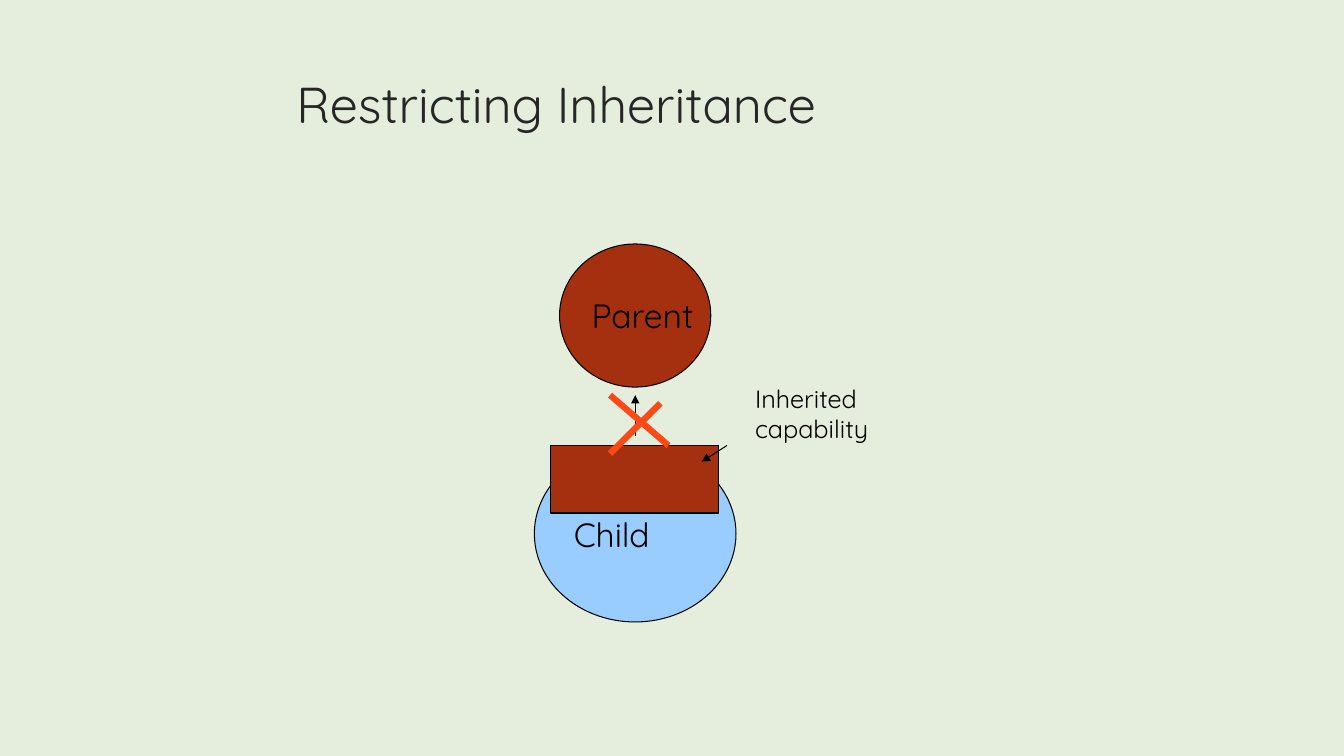
"""Build the slide on restricting inheritance between a parent and a child."""
from dataclasses import dataclass

from lxml.etree import SubElement
from pptx import Presentation
from pptx.dml.color import RGBColor
from pptx.enum.shapes import MSO_CONNECTOR as Connector, MSO_SHAPE as Preset
from pptx.enum.text import MSO_ANCHOR as Anchor, PP_ALIGN as Align
from pptx.oxml.ns import qn
from pptx.slide import Slide
from pptx.text.text import TextFrame
from pptx.util import Inches, Pt


@dataclass(frozen=True)
class Theme:
    font: str = "Quicksand"
    background: str = "E5EEDC"
    heading: str = "262626"
    ink: str = "000000"
    parent: str = "A53010"
    child: str = "99CCFF"
    cross: str = "FB4A18"
    title_size: float = 36
    node_size: float = 24
    label_size: float = 18
    thin: float = 0.75
    thick: float = 4.5


THEME = Theme()


@dataclass(frozen=True)
class Box:
    left: float
    top: float
    width: float
    height: float

    def lengths(self) -> tuple[int, ...]:
        return tuple(Inches(v) for v in (self.left, self.top, self.width, self.height))


@dataclass(frozen=True)
class Node:
    preset: Preset
    box: Box
    fill: str
    text: str = ""


@dataclass(frozen=True)
class Stroke:
    start: tuple[float, float]
    end: tuple[float, float]
    color: str = THEME.ink
    weight: float = THEME.thin
    arrow: bool = False


NODES = (
    Node(Preset.OVAL, Box(5.55, 2.42, 1.5, 1.42), THEME.parent, "Parent"),
    Node(Preset.OVAL, Box(5.3, 4.42, 2, 1.75), THEME.child, "Child"),
    Node(Preset.RECTANGLE, Box(5.46, 4.42, 1.67, 0.67), THEME.parent),
)
STROKES = (
    Stroke((6.3, 4.33), (6.3, 3.92), arrow=True),
    Stroke((7.21, 4.42), (6.96, 4.58), arrow=True),
    Stroke((6.05, 3.92), (6.63, 4.42), THEME.cross, THEME.thick),
    Stroke((6.55, 4), (6.05, 4.5), THEME.cross, THEME.thick),
)


def write(frame: TextFrame, text: str, size: float, color: str,
          anchor: Anchor = Anchor.TOP, wrap: bool = False) -> None:
    frame.text = text
    frame.word_wrap = wrap
    frame.vertical_anchor = anchor
    for paragraph in frame.paragraphs:
        paragraph.alignment = Align.LEFT
        for run in paragraph.runs:
            run.font.name = THEME.font
            run.font.size = Pt(size)
            run.font.color.rgb = RGBColor.from_string(color)


def draw_node(slide: Slide, node: Node) -> None:
    shape = slide.shapes.add_shape(node.preset, *node.box.lengths())
    shape.shadow.inherit = False
    shape.fill.solid()
    shape.fill.fore_color.rgb = RGBColor.from_string(node.fill)
    shape.line.color.rgb = RGBColor.from_string(THEME.ink)
    shape.line.width = Pt(THEME.thin)
    if node.text:
        write(shape.text_frame, node.text, THEME.node_size, THEME.ink, Anchor.MIDDLE)


def draw_stroke(slide: Slide, stroke: Stroke) -> None:
    ends = (Inches(v) for v in stroke.start + stroke.end)
    connector = slide.shapes.add_connector(Connector.STRAIGHT, *ends)
    connector.line.color.rgb = RGBColor.from_string(stroke.color)
    connector.line.width = Pt(stroke.weight)
    properties = connector.element.spPr
    if stroke.arrow:
        SubElement(properties.find(qn("a:ln")), qn("a:tailEnd"), type="triangle")
    SubElement(properties, qn("a:effectLst"))


def main() -> None:
    deck = Presentation()
    deck.slide_width, deck.slide_height = Inches(13.33), Inches(7.5)
    slide = deck.slides.add_slide(deck.slide_layouts[5])
    slide.background.fill.solid()
    slide.background.fill.fore_color.rgb = RGBColor.from_string(THEME.background)

    title = slide.shapes.title
    title.left, title.top, title.width, title.height = Box(2.84, 0.68, 9.75, 1.4).lengths()
    write(title.text_frame, "Restricting Inheritance", THEME.title_size, THEME.heading, wrap=True)

    for node in NODES:
        draw_node(slide, node)
    capability = slide.shapes.add_textbox(*Box(7.39, 3.75, 1.41, 0.7).lengths())
    write(capability.text_frame, "Inherited\ncapability", THEME.label_size, THEME.ink)
    for stroke in STROKES:
        draw_stroke(slide, stroke)

    deck.save("out.pptx")


if __name__ == "__main__":
    main()
